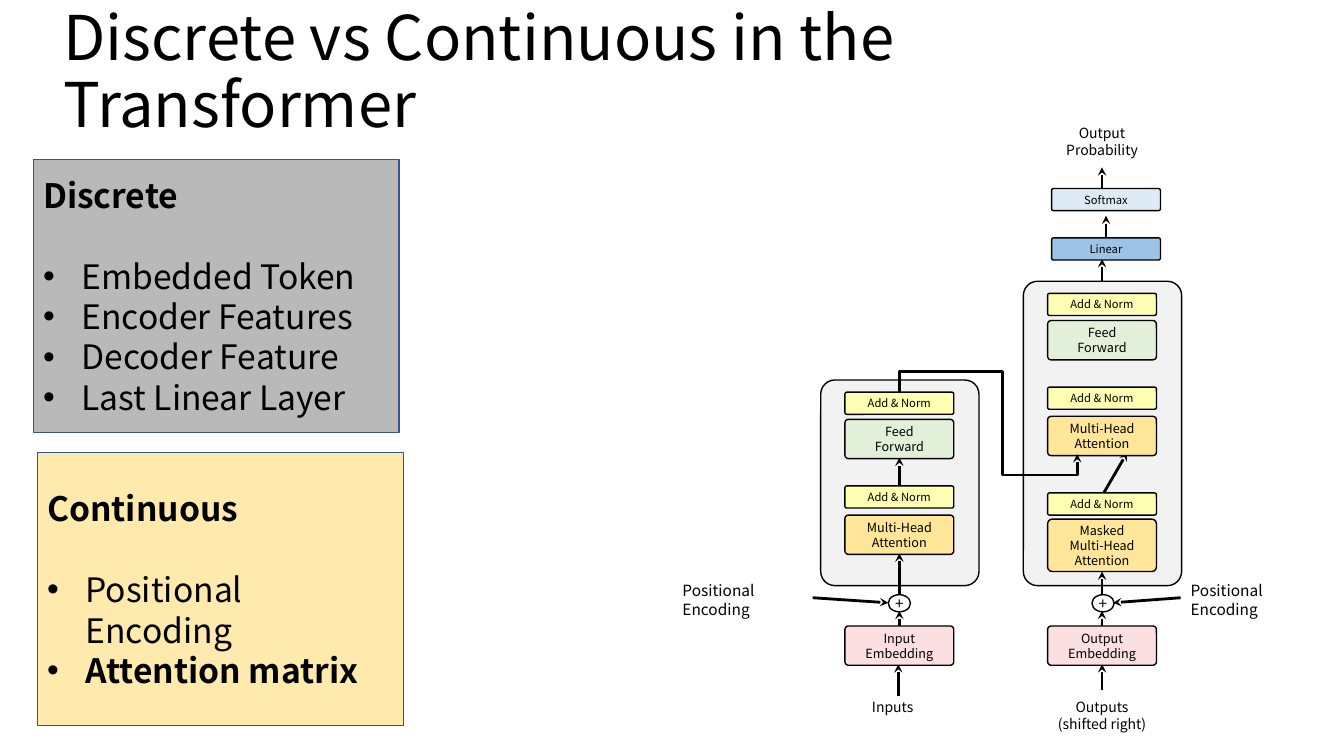
import lxml.etree
import pptx
import pptx.dml.color
import pptx.enum.shapes
import pptx.enum.text
import pptx.oxml.ns
import pptx.util

Inches = pptx.util.Inches
Pt = pptx.util.Pt
qn = pptx.oxml.ns.qn
SHAPE = pptx.enum.shapes.MSO_SHAPE
CONNECTOR = pptx.enum.shapes.MSO_CONNECTOR
ANCHOR = pptx.enum.text.MSO_ANCHOR
LEFT = pptx.enum.text.PP_ALIGN.LEFT
CENTER = pptx.enum.text.PP_ALIGN.CENTER

FONT = "Noto Sans CJK KR"
BLACK = "000000"
ENCODER, DECODER, OUTPUT = 8.38, 10.39, 10.43
ENCODER_AXIS, DECODER_AXIS = 8.92, 10.93
BLOCK_WIDTH, THIN, TALL = 1.08, 0.22, 0.39
PINK, ORANGE, YELLOW, GREEN = "FCDFE0", "FFE699", "FFFFB3", "E2F0D9"

PANELS = [(8.14, 3.77, 2.04), (10.15, 2.79, 3.02)]

BLOCKS = [
    (ENCODER, 6.21, TALL, PINK, "Input\nEmbedding"),
    (ENCODER, 5.11, TALL, ORANGE, "Multi-Head\vAttention"),
    (ENCODER, 4.82, THIN, YELLOW, "Add & Norm"),
    (ENCODER, 4.16, TALL, GREEN, "Feed\vForward"),
    (ENCODER, 3.89, THIN, YELLOW, "Add & Norm"),
    (DECODER, 6.21, TALL, PINK, "Output\nEmbedding"),
    (DECODER, 5.15, 0.52, ORANGE, "Masked\vMulti-Head\vAttention"),
    (DECODER, 4.89, THIN, YELLOW, "Add & Norm"),
    (DECODER, 4.13, TALL, ORANGE, "Multi-Head\vAttention"),
    (DECODER, 3.84, THIN, YELLOW, "Add & Norm"),
    (DECODER, 3.18, TALL, GREEN, "Feed\vForward"),
    (DECODER, 2.91, THIN, YELLOW, "Add & Norm"),
    (OUTPUT, 2.36, THIN, "9DC3E6", "Linear"),
    (OUTPUT, 1.87, THIN, "DEEBF7", "Softmax"),
]

UPWARD_ARROWS = [
    (8.91, 6.59, 6.9),
    (ENCODER_AXIS, 6.06, 6.21),
    (ENCODER_AXIS, 5.49, 5.9),
    (ENCODER_AXIS, 4.54, 4.82),
    (DECODER_AXIS, 6.59, 6.85),
    (DECODER_AXIS, 6.06, 6.21),
    (DECODER_AXIS, 5.67, 5.9),
    (DECODER_AXIS, 2.57, 2.79),
    (10.97, 2.14, 2.36),
    (DECODER_AXIS, 1.66, 1.87),
]

LABELS = [
    ((8.55, 6.88, 0.95, 0.24), "Inputs", 10, LEFT),
    ((10.24, 6.88, 1.38, 0.39), "Outputs\v(shifted right)", 10, CENTER),
    ((10.28, 1.19, 1.3, 0.39), "Output Probability", 10, CENTER),
    ((11.71, 5.72, 1.39, 0.42), "Positional Encoding", 11, LEFT),
    ((6.67, 5.72, 1.39, 0.42), "Positional Encoding", 11, LEFT),
]


def color(value):
    return pptx.dml.color.RGBColor.from_string(value)


def style_para(para, size, align=LEFT, bold=False):
    para.alignment = align
    para.font.name = FONT
    para.font.size = Pt(size)
    para.font.bold = bold
    para.font.color.rgb = color(BLACK)


def write(shape, text, size, align, anchor):
    frame = shape.text_frame
    frame.word_wrap = True
    frame.vertical_anchor = anchor
    frame.text = text
    for para in frame.paragraphs:
        style_para(para, size, align)
    return frame


def add_label(page, place, text, size, align, anchor=ANCHOR.TOP):
    box = page.shapes.add_textbox(*map(Inches, place))
    return write(box, text, size, align, anchor)


def add_box(page, kind, place, fill=None, line=BLACK):
    box = page.shapes.add_shape(kind, *map(Inches, place))
    box.shadow.inherit = False
    if fill:
        box.fill.solid()
        box.fill.fore_color.rgb = color(fill)
    else:
        box.fill.background()
    box.line.color.rgb = color(line)
    box.line.width = Pt(1)
    if kind == SHAPE.ROUNDED_RECTANGLE:
        box.adjustments[0] = 0.09
    return box


def add_node(page, kind, place, fill, text, size):
    box = add_box(page, kind, place, fill)
    frame = write(box, text, size, CENTER, ANCHOR.MIDDLE)
    frame.margin_left = frame.margin_right = 0
    frame.margin_top = frame.margin_bottom = 0


def add_arrow(page, tip, tail, kind=CONNECTOR.STRAIGHT):
    arrow = page.shapes.add_connector(kind, *map(Inches, tip + tail))
    arrow.line.color.rgb = color(BLACK)
    arrow.line.width = Pt(2)
    head = lxml.etree.SubElement(arrow.line._get_or_add_ln(), qn("a:headEnd"))
    head.set("type", "stealth")
    lxml.etree.SubElement(arrow._element.spPr, qn("a:effectLst"))
    return arrow


def add_encoder_link(page):
    link = add_arrow(page, (10.11, 3.32), (9.5, 5.08), CONNECTOR.ELBOW)
    properties = link._element.spPr
    properties.find(qn("a:xfrm")).set("rot", str(90 * 60000))
    geometry = properties.find(qn("a:prstGeom"))
    geometry.set("prst", "bentConnector5")
    guides = geometry.find(qn("a:avLst"))
    if guides is None:
        guides = lxml.etree.SubElement(geometry, qn("a:avLst"))
    for number, ratio in enumerate((-0.34, 0.42, 1.34), 1):
        guide = lxml.etree.SubElement(guides, qn("a:gd"))
        guide.set("name", f"adj{number}")
        guide.set("fmla", f"val {round(ratio * 100000)}")


def add_bullet(para):
    properties = para._p.get_or_add_pPr()
    properties.set("marL", str(Inches(0.38)))
    properties.set("indent", str(-Inches(0.38)))
    lxml.etree.SubElement(properties, qn("a:buFont")).set("typeface", "Arial")
    lxml.etree.SubElement(properties, qn("a:buChar")).set("char", "•")


def add_card(page, left, top, fill, heading, items, bold_items=()):
    card = add_box(page, SHAPE.RECTANGLE, (left, top, 3.63, 2.71), fill, "325491")
    tint = card.fill._xPr.find(qn("a:solidFill"))[0]
    lxml.etree.SubElement(tint, qn("a:alpha")).set("val", "32000")
    frame = write(card, heading, 24, LEFT, ANCHOR.MIDDLE)
    frame.paragraphs[0].font.bold = True
    frame.paragraphs[0].space_after = Pt(29)
    for item in items:
        para = frame.add_paragraph()
        para.text = item
        style_para(para, 24, bold=item in bold_items)
        add_bullet(para)


def main():
    deck = pptx.Presentation()
    deck.slide_width, deck.slide_height = Inches(13.33), Inches(7.5)
    page = deck.slides.add_slide(deck.slide_layouts[6])

    title = add_label(page, (0.53, 0.01, 12.08, 1.45),
                      "Discrete vs Continuous in the Transformer", 44, LEFT, ANCHOR.MIDDLE)
    title.paragraphs[0].line_spacing = 0.9

    for left, top, height in PANELS:
        add_box(page, SHAPE.ROUNDED_RECTANGLE, (left, top, 1.57, height), "F2F2F2")
    for axis, tip, tail in UPWARD_ARROWS:
        add_arrow(page, (axis, tip), (axis, tail))
    add_arrow(page, (11.18, 4.49), (DECODER_AXIS, 4.92))
    add_arrow(page, (11.04, 5.98), (11.71, 5.93))
    add_arrow(page, (8.81, 5.98), (8.06, 5.93))
    for left, top, height, fill, text in BLOCKS:
        add_node(page, SHAPE.ROUNDED_RECTANGLE, (left, top, BLOCK_WIDTH, height),
                 fill, text, 8 if height == THIN else 9)
    for left in (8.81, 10.83):
        add_node(page, SHAPE.OVAL, (left, 5.9, 0.22, 0.17), None, "+", 11)
    add_encoder_link(page)
    for label in LABELS:
        add_label(page, *label)

    add_card(page, 0.33, 1.58, "262626", "Discrete",
             ["Embedded Token", "Encoder Features", "Decoder Feature", "Last Linear Layer"])
    add_card(page, 0.37, 4.49, "FFC000", "Continuous",
             ["Positional Encoding", "Attention matrix"], ["Attention matrix"])
    deck.save("out.pptx")


if __name__ == "__main__":
    main()
